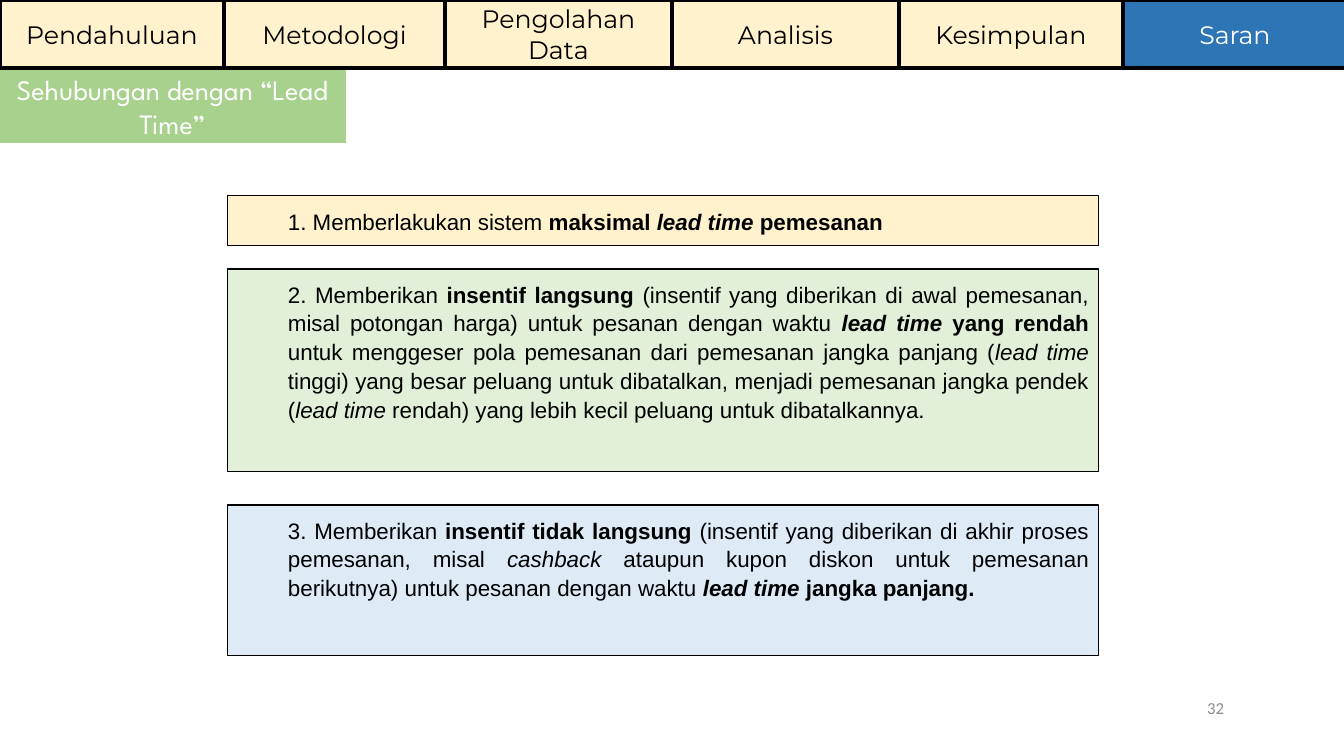
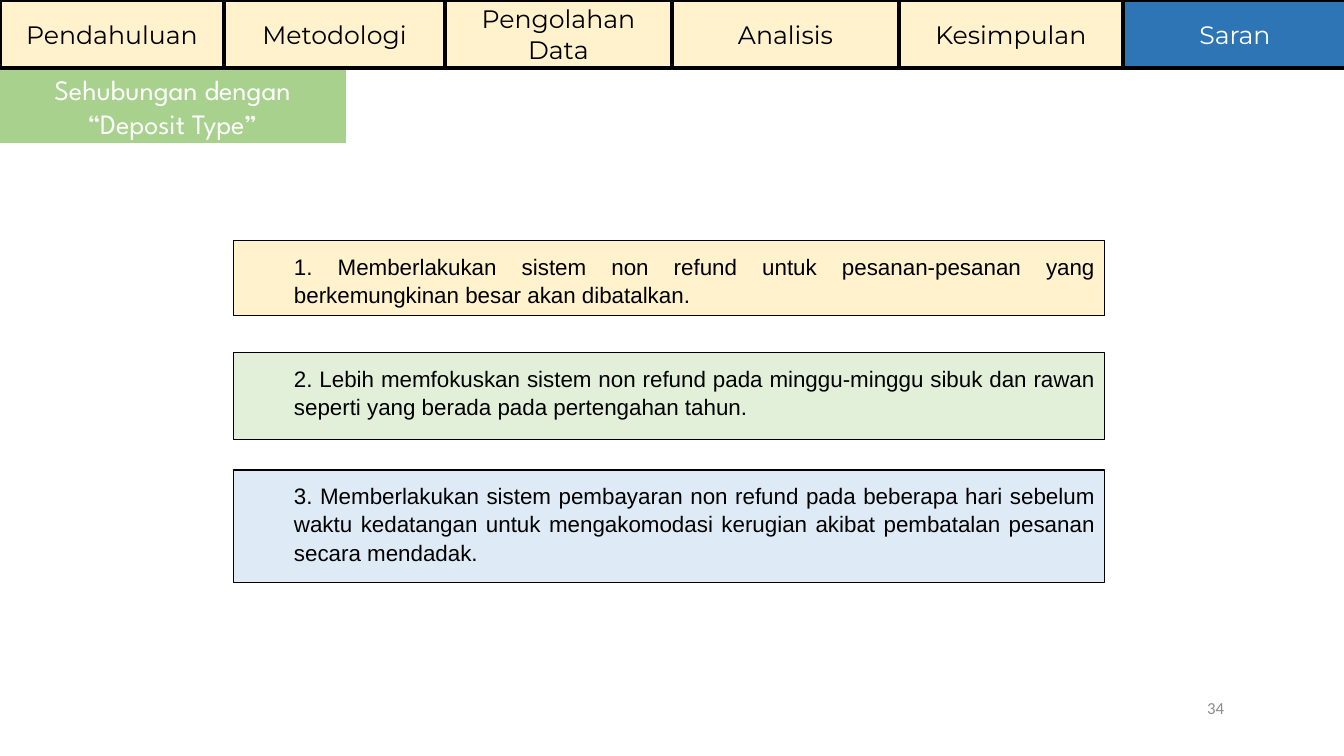
from itertools import pairwise

from pptx import Presentation
from pptx.dml.color import RGBColor
from pptx.enum import shapes, text
from pptx.util import Emu, Pt

BLACK = RGBColor(0x00, 0x00, 0x00)
WHITE = RGBColor(0xFF, 0xFF, 0xFF)
GRAY = RGBColor(0x8C, 0x8C, 0x8C)
CREAM = RGBColor(0xFF, 0xF2, 0xCC)
MINT = RGBColor(0xE2, 0xF0, 0xD9)
SKY = RGBColor(0xDE, 0xEB, 0xF7)
BLUE = RGBColor(0x2E, 0x75, 0xB6)
GREEN = RGBColor(0xA9, 0xD1, 0x8E)

TABS = ["Pendahuluan", "Metodologi", "Pengolahan Data", "Analisis", "Kesimpulan", "Saran"]
TAB_EDGES = [0, 224, 445, 672, 899, 1123, 1347]
ACTIVE_TAB = "Saran"
BOX_FILLS = [CREAM, MINT, SKY]
BOX_WIDTH = 871


def px(pixels):
    return Emu(round(pixels * 914400 / 100.8))


class Deck:
    def __init__(self):
        self.presentation = Presentation()
        self.presentation.slide_width = px(1344)
        self.presentation.slide_height = px(756)
        self.slide = None

    def add_slide(self, title, number):
        self.slide = self.presentation.slides.add_slide(self.presentation.slide_layouts[5])
        self.title(title)
        self.tabs()
        self.page_number(number)

    def place(self, shape, left, top, width, height):
        shape.left, shape.top, shape.width, shape.height = map(px, (left, top, width, height))

    def set_text(self, shape, runs, size, font, color, align):
        frame = shape.text_frame
        frame.word_wrap = True
        frame.auto_size = text.MSO_AUTO_SIZE.NONE
        frame.vertical_anchor = text.MSO_ANCHOR.MIDDLE
        paragraph = frame.paragraphs[0]
        paragraph.alignment = align
        paragraph.font.size = Pt(size)
        paragraph.font.name = font
        paragraph.font.color.rgb = color
        for words, style in runs:
            run = paragraph.add_run()
            run.text = words
            if "b" in style:
                run.font.bold = True
            if "i" in style:
                run.font.italic = True
        return paragraph

    def rectangle(self, left, top, width, height, fill, line_width):
        shape = self.slide.shapes.add_shape(
            shapes.MSO_SHAPE.RECTANGLE, px(left), px(top), px(width), px(height))
        shape.shadow.inherit = False
        shape.fill.solid()
        shape.fill.fore_color.rgb = fill
        shape.line.color.rgb = BLACK
        shape.line.width = Pt(line_width)
        return shape

    def title(self, words):
        shape = self.slide.shapes.title
        self.place(shape, -1, 69, 347, 74)
        shape.fill.solid()
        shape.fill.fore_color.rgb = GREEN
        self.set_text(shape, [(words, "")], 20, "League Spartan", WHITE, text.PP_ALIGN.CENTER)

    def tabs(self):
        for name, (left, right) in zip(TABS, pairwise(TAB_EDGES)):
            active = name == ACTIVE_TAB
            shape = self.rectangle(left, 0, right - left, 68, BLUE if active else CREAM, 2.25)
            self.set_text(shape, [(name, "")], 18, "Montserrat",
                          WHITE if active else BLACK, text.PP_ALIGN.CENTER)

    def page_number(self, number):
        shape = self.slide.shapes.add_textbox(px(932), px(688), px(302), px(40))
        self.set_text(shape, [(str(number), "")], 12, "Calibri", GRAY, text.PP_ALIGN.RIGHT)

    def suggestion(self, left, top, height, fill, runs):
        shape = self.rectangle(left, top, BOX_WIDTH, height, fill, 0.75)
        paragraph = self.set_text(shape, runs, 16, "Arial", BLACK, text.PP_ALIGN.JUSTIFY)
        paragraph.line_spacing = 1.07
        paragraph._p.get_or_add_pPr().set("marL", str(px(50)))
        frame = shape.text_frame
        frame.vertical_anchor = text.MSO_ANCHOR.TOP
        frame.margin_left = frame.margin_right = px(10)
        frame.margin_top = frame.margin_bottom = px(10)

    def suggestions(self, left, boxes):
        for fill, (top, height, runs) in zip(BOX_FILLS, boxes):
            self.suggestion(left, top, height, fill, runs)


LEAD_TIME = [
    (196, 50, [
        ("1. Memberlakukan sistem ", ""),
        ("maksimal ", "b"),
        ("lead time ", "bi"),
        ("pemesanan", "b"),
    ]),
    (269, 203, [
        ("2. Memberikan ", ""),
        ("insentif langsung ", "b"),
        ("(insentif yang diberikan di awal pemesanan, misal potongan harga) "
         "untuk pesanan dengan waktu ", ""),
        ("lead time ", "bi"),
        ("yang rendah ", "b"),
        ("untuk menggeser pola pemesanan dari pemesanan jangka panjang (", ""),
        ("lead time ", "i"),
        ("tinggi) yang besar peluang untuk dibatalkan, menjadi pemesanan jangka pendek (", ""),
        ("lead time ", "i"),
        ("rendah) yang lebih kecil peluang untuk dibatalkannya.", ""),
    ]),
    (505, 151, [
        ("3. Memberikan ", ""),
        ("insentif tidak langsung ", "b"),
        ("(insentif yang diberikan di akhir proses pemesanan, misal ", ""),
        ("cashback ", "i"),
        ("ataupun kupon diskon untuk pemesanan berikutnya) untuk pesanan dengan waktu ", ""),
        ("lead time ", "bi"),
        ("jangka panjang.", "b"),
    ]),
]

DEPOSIT_TYPE = [
    (241, 75, [("1. Memberlakukan sistem non refund untuk pesanan-pesanan yang "
                "berkemungkinan besar akan dibatalkan.", "")]),
    (353, 87, [("2. Lebih memfokuskan sistem non refund pada minggu-minggu sibuk dan rawan "
                "seperti yang berada pada pertengahan tahun.", "")]),
    (470, 113, [("3. Memberlakukan sistem pembayaran non refund pada beberapa hari sebelum "
                 "waktu kedatangan untuk mengakomodasi kerugian akibat pembatalan pesanan "
                 "secara mendadak.", "")]),
]

deck = Deck()
deck.add_slide("Sehubungan dengan “Lead Time”", 32)
deck.suggestions(228, LEAD_TIME)
deck.add_slide("Sehubungan dengan “Deposit Type”", 34)
deck.suggestions(234, DEPOSIT_TYPE)
deck.presentation.save("out.pptx")
